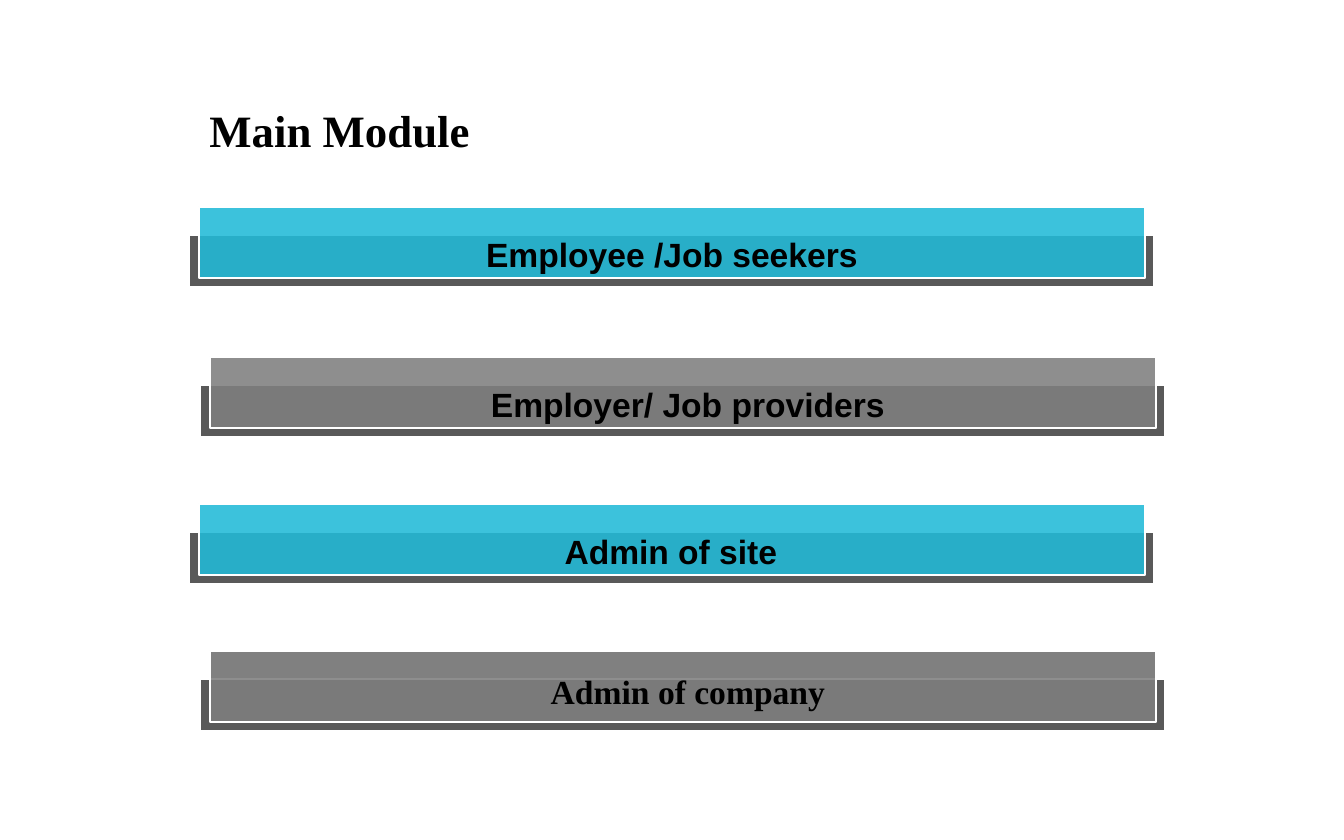
from pptx import Presentation
from pptx.dml.color import RGBColor
from pptx.enum.shapes import MSO_SHAPE
from pptx.enum.text import MSO_ANCHOR, MSO_AUTO_SIZE as AUTO_SIZE, PP_ALIGN
from pptx.oxml.ns import qn
from pptx.util import Emu, Pt
from lxml.etree import SubElement

BLACK = RGBColor(0x00, 0x00, 0x00)
WHITE = RGBColor(0xFF, 0xFF, 0xFF)
BASE_GRAY = RGBColor(0x59, 0x59, 0x59)
GRAY = RGBColor(0x7F, 0x7F, 0x7F)
CYAN = RGBColor(0x22, 0xBA, 0xD8)

SANS = "Arial"
SERIF = "Times New Roman"

PX_PER_INCH = 134.4
BAR_WIDTH, BAR_HEIGHT = 946, 71
BASE_WIDTH, BASE_HEIGHT = 965, 52
BASE_SHIFT_X, BASE_SHIFT_Y = -10, 28
BAR_OPACITY = 88


def px(length):
    return Emu(round(length * 914400 / PX_PER_INCH))


class ModuleSlide:
    """Holds the slide and draws its elements in one style."""

    def __init__(self, presentation):
        self.slide = presentation.slides.add_slide(presentation.slide_layouts[5])

    def format_text(self, shape, text, font_name, size, align, spacing):
        frame = shape.text_frame
        frame.text = text
        frame.word_wrap = True
        frame.vertical_anchor = MSO_ANCHOR.TOP
        frame.auto_size = AUTO_SIZE.SHAPE_TO_FIT_TEXT
        paragraph = frame.paragraphs[0]
        paragraph.alignment = align
        paragraph.line_spacing = spacing
        paragraph.space_before = Pt(0)
        font = paragraph.font
        font.name, font.size, font.bold = font_name, Pt(size), True
        font.color.rgb = BLACK

    def title(self, text, left, top, width, height):
        shape = self.slide.shapes.title
        shape.left, shape.top = px(left), px(top)
        shape.width, shape.height = px(width), px(height)
        self.format_text(shape, text, SERIF, 24, PP_ALIGN.RIGHT, 1.2)

    def rectangle(self, left, top, width, height, color, opacity=100):
        shape = self.slide.shapes.add_shape(
            MSO_SHAPE.RECTANGLE, px(left), px(top), px(width), px(height))
        shape.shadow.inherit = False
        shape.fill.solid()
        shape.fill.fore_color.rgb = color
        shape.line.color.rgb = WHITE
        shape.line.width = Pt(1)
        if opacity < 100:
            fill_color = shape._element.spPr.find(qn("a:solidFill"))[0]
            SubElement(fill_color, qn("a:alpha"), val=str(opacity * 1000))

    def face(self, left, top, color):
        self.rectangle(left, top, BAR_WIDTH, BAR_HEIGHT, color, BAR_OPACITY)

    def bar(self, left, top, color):
        self.rectangle(left + BASE_SHIFT_X, top + BASE_SHIFT_Y,
                       BASE_WIDTH, BASE_HEIGHT, BASE_GRAY)
        self.face(left, top, color)

    def label(self, text, left, top, width, height, font_name, spacing):
        box = self.slide.shapes.add_textbox(
            px(left), px(top), px(width), px(height))
        self.format_text(box, text, font_name, 18, PP_ALIGN.CENTER, spacing)


def main():
    presentation = Presentation()
    presentation.slide_width, presentation.slide_height = px(1344), px(840)
    module_slide = ModuleSlide(presentation)

    # Heading
    module_slide.title("Main Module", 126, 85, 357, 78)

    # Second translucent face behind the last bar
    module_slide.face(210, 651, GRAY)

    # Bars: left, top, colour, then label text, box, font and line spacing
    bars = [
        (199, 207, CYAN, "Employee /Job seekers", 463, 219, 418, 62, SANS, 1.2),
        (210, 357, GRAY, "Employer/ Job providers", 473, 369, 430, 102, SANS, 1.2),
        (199, 504, CYAN, "Admin of site", 462, 516, 418, 102, SANS, 1.2),
        (210, 651, GRAY, "Admin of company", 473, 664, 430, 54, SERIF, 1.0),
    ]
    for left, top, color, *label in bars:
        module_slide.bar(left, top, color)
        module_slide.label(*label)

    presentation.save("out.pptx")


if __name__ == "__main__":
    main()
